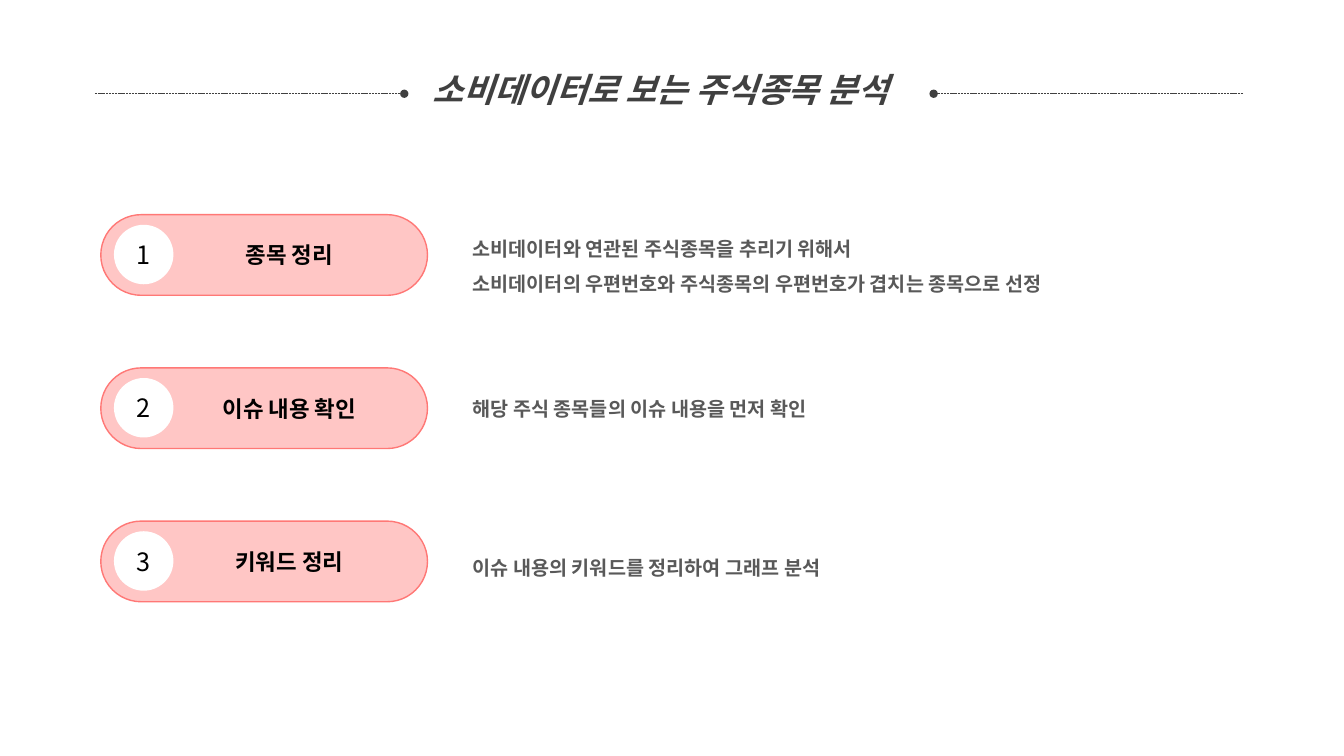
import pptx
import pptx.dml.color
import pptx.enum.dml
import pptx.enum.shapes
import pptx.enum.text
import pptx.oxml
import pptx.oxml.ns
import pptx.util

Inches = pptx.util.Inches
Pt = pptx.util.Pt
Align = pptx.enum.text.PP_ALIGN
Anchor = pptx.enum.text.MSO_ANCHOR
Kind = pptx.enum.shapes.MSO_SHAPE


def color(code):
    """Turn a hex string into a colour."""
    return pptx.dml.color.RGBColor.from_string(code)


def add_tag(parent, tag, **attrs):
    """Append a drawing element with the given attributes."""
    names = pptx.oxml.ns.nsdecls("a")
    node = pptx.oxml.parse_xml(f"<a:{tag} {names}/>")
    for key, value in attrs.items():
        node.set(key, str(value))
    parent.append(node)


def write(frame, text, size, ink, font, bold=False, italic=False,
          align=Align.LEFT, anchor=Anchor.MIDDLE, space=None, indent=None):
    """Fill a text frame, one paragraph for each line of text."""
    frame.word_wrap = True
    frame.vertical_anchor = anchor
    frame.text = text
    for para in frame.paragraphs:
        para.alignment = align
        if space:
            para.line_spacing = space
        if indent is not None:
            para.level = 1
            props = para._p.get_or_add_pPr()
            props.set("marL", str(indent))
            props.set("indent", "0")
        for run in para.runs:
            run.font.size = Pt(size)
            run.font.bold = bold
            run.font.italic = italic
            run.font.color.rgb = color(ink)
            run.font.name = font
            add_tag(run.font._element, "ea", typeface=font)


class Page:
    """Style and current slide."""

    font = "Noto Sans CJK KR"
    black, dark, gray = "000000", "404040", "595959"
    white, pink = "FFFFFF", "FF7876"

    def __init__(self, slide):
        """Keep the slide to draw on."""
        self.slide = slide

    def title(self, text, *box):
        """Place and format the title."""
        shape = self.slide.shapes.title
        shape.left, shape.top, shape.width, shape.height = map(Inches, box)
        write(shape.text_frame, text, 24, self.dark, self.font, bold=True,
              italic=True, align=Align.CENTER, anchor=Anchor.TOP, space=1.5)
        shape.text_frame.auto_size = pptx.enum.text.MSO_AUTO_SIZE.SHAPE_TO_FIT_TEXT

    def rule(self, start, end, top):
        """Draw a dashed line that ends in a dot."""
        line = self.slide.shapes.add_connector(
            pptx.enum.shapes.MSO_CONNECTOR.STRAIGHT,
            Inches(start), Inches(top), Inches(end), Inches(top))
        line.line.color.rgb = color(self.dark)
        line.line.width = Pt(0.5)
        line.line.dash_style = pptx.enum.dml.MSO_LINE.SQUARE_DOT
        add_tag(line.line._ln, "tailEnd", type="oval")
        add_tag(line._element.spPr, "effectLst")

    def shape(self, kind, fill, *box):
        """Add a plain filled shape without line or shadow."""
        shape = self.slide.shapes.add_shape(kind, *map(Inches, box))
        shape.shadow.inherit = False
        shape.fill.solid()
        shape.fill.fore_color.rgb = color(fill)
        shape.line.fill.background()
        return shape

    def pill(self, text, *box):
        """Add a rounded, half clear label."""
        shape = self.shape(Kind.ROUNDED_RECTANGLE, self.pink, *box)
        shape.adjustments[0] = 0.5
        tint = next(shape._element.spPr.iter(pptx.oxml.ns.qn("a:srgbClr")))
        add_tag(tint, "alpha", val=42000)
        shape.line.color.rgb = color(self.pink)
        shape.line.width = Pt(1)
        write(shape.text_frame, text, 16, self.black, self.font, bold=True,
              align=Align.CENTER, indent=Inches(0.5))

    def badge(self, text, *box):
        """Add a white circle with a number."""
        shape = self.shape(Kind.OVAL, self.white, *box)
        write(shape.text_frame, text, 18, self.black, self.font,
              align=Align.CENTER)

    def note(self, text, *box):
        """Add the text that explains a step."""
        shape = self.slide.shapes.add_textbox(*map(Inches, box))
        write(shape.text_frame, text, 14, self.gray, self.font, bold=True,
              space=1.5)


STEPS = [
    ("종목 정리", "소비데이터와 연관된 주식종목을 추리기 위해서\n"
     "소비데이터의 우편번호와 주식종목의 우편번호가 겹치는 종목으로 선정", 2.24),
    ("이슈 내용 확인", "해당 주식 종목들의 이슈 내용을 먼저 확인", 3.66),
    ("키워드 정리", "이슈 내용의 키워드를 정리하여 그래프 분석", 5.23),
]
FIRST, PITCH = 2.13, 1.52

deck = pptx.Presentation()
deck.slide_width, deck.slide_height = Inches(13.33), Inches(7.5)
page = Page(deck.slides.add_slide(deck.slide_layouts.get_by_name("Title Only")))

page.title("소비데이터로 보는 주식종목 분석", 3.97, 0.43, 5.16, 0.98)
for start, end in ((0.94, 4.01), (12.33, 9.26)):
    page.rule(start, end, 0.93)

for index, (label, detail, top) in enumerate(STEPS):
    row = FIRST + index * PITCH
    page.pill(label, 1, row, 3.24, 0.8)
    page.badge(str(index + 1), 1.13, row + 0.1, 0.59, 0.59)
    page.note(detail, 4.59, top, 6.44, 0.68)

deck.save("out.pptx")
